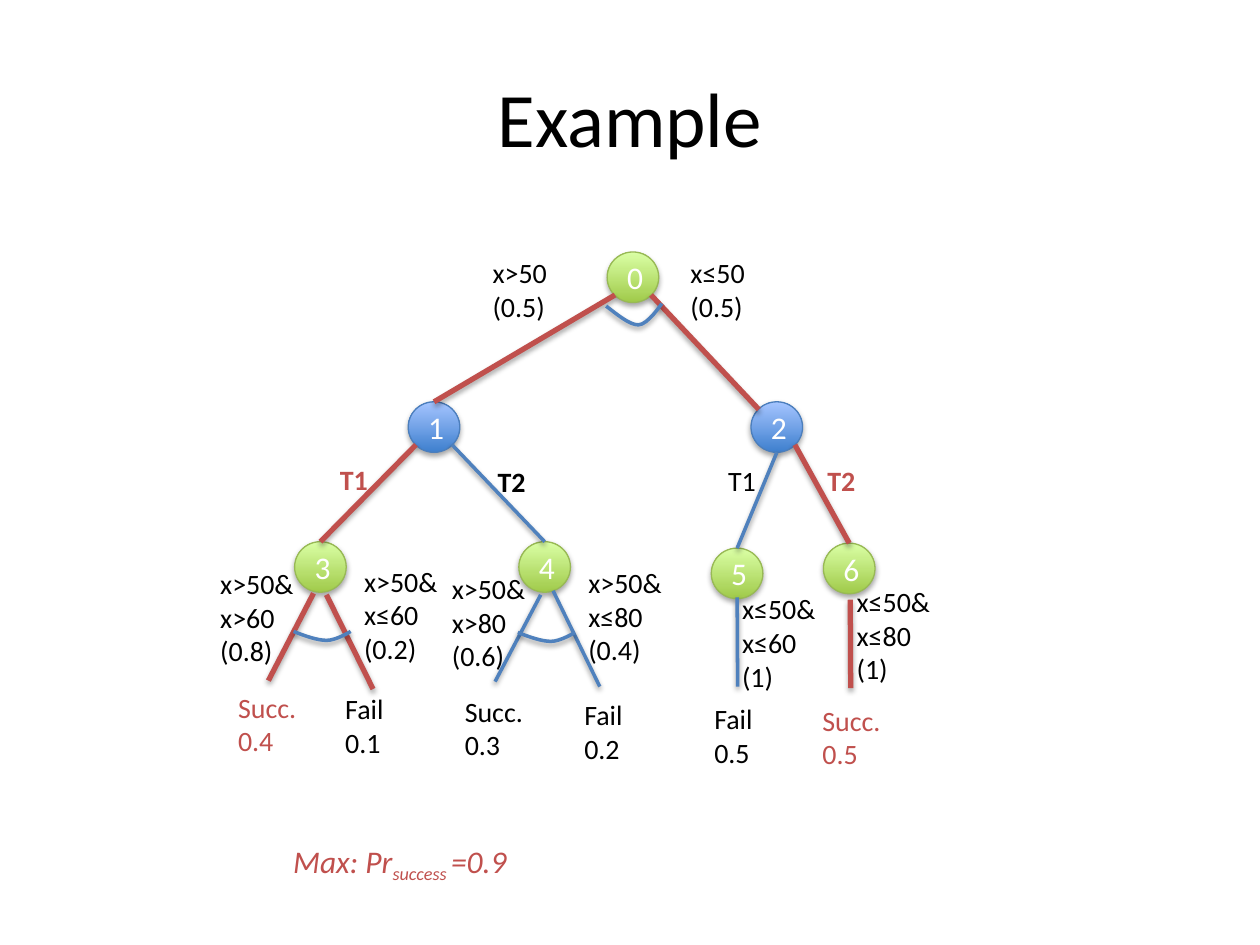
from lxml import etree
from pptx import Presentation
from pptx.dml.color import RGBColor
from pptx.enum.shapes import MSO_CONNECTOR, MSO_SHAPE
from pptx.enum.text import MSO_ANCHOR, MSO_AUTO_SIZE, PP_ALIGN
from pptx.oxml.ns import qn
from pptx.util import Cm, Pt

ELLIPSE, STRAIGHT = MSO_SHAPE.OVAL, MSO_CONNECTOR.STRAIGHT
MIDDLE, CENTER = MSO_ANCHOR.MIDDLE, PP_ALIGN.CENTER
GROW = MSO_AUTO_SIZE.SHAPE_TO_FIT_TEXT

BLACK = RGBColor(0x00, 0x00, 0x00)
WHITE = RGBColor(0xFF, 0xFF, 0xFF)
RED = RGBColor(0xC0, 0x50, 0x4D)
BLUE = RGBColor(0x4F, 0x81, 0xBD)
# Node colours: bottom, top, outline
GREEN_NODE = RGBColor(0xA0, 0xCA, 0x4A), RGBColor(0xDA, 0xFF, 0xA5), RGBColor(0x98, 0xB9, 0x55)
BLUE_NODE = RGBColor(0x3F, 0x80, 0xCE), RGBColor(0xA4, 0xC4, 0xFF), RGBColor(0x4B, 0x7E, 0xBC)

FONT = "Calibri"
NODE_WIDTH, NODE_HEIGHT = 1.04, 1.02
DIAGONAL = 0.35  # share of the node size from its centre to a diagonal point

# Node centres in cm, in order of their numbers
NODES = [
    (12.76, 5.59, GREEN_NODE), (8.75, 8.61, BLUE_NODE), (15.66, 8.61, BLUE_NODE),
    (6.46, 11.43, GREEN_NODE), (10.98, 11.43, GREEN_NODE),
    (14.86, 11.56, GREEN_NODE), (17.12, 11.46, GREEN_NODE),
]
# Parent, start offset, child, end offset (shares of the node size), colour
TOP, BOTTOM = (0, -0.5), (0, 0.5)
TOP_LEFT = (-DIAGONAL, -DIAGONAL)
BOTTOM_LEFT, BOTTOM_RIGHT = (-DIAGONAL, DIAGONAL), (DIAGONAL, DIAGONAL)
EDGES = [
    (0, BOTTOM_LEFT, 1, TOP, RED), (0, BOTTOM_RIGHT, 2, TOP_LEFT, RED),
    (1, BOTTOM_LEFT, 3, TOP, RED), (1, BOTTOM_RIGHT, 4, TOP, BLUE),
    (2, BOTTOM, 5, TOP, BLUE), (2, BOTTOM_RIGHT, 6, TOP, RED),
]
# Branches to the outcomes: start, end, colour
BRANCHES = [
    ((6.32, 11.96), (5.41, 13.72), RED), ((6.58, 11.99), (7.52, 13.89), RED),
    ((10.9, 11.99), (9.98, 13.74), BLUE), ((11.15, 11.91), (12.09, 13.84), BLUE),
    ((14.86, 12.04), (14.87, 13.84), BLUE), ((17.14, 12.09), (17.15, 13.87), RED),
]
# Chance arcs: left, top, width, height, share of the height where the arc starts
ARCS = [(12.22, 6.12, 1.12, 0.43, 0.12), (5.92, 12.73, 1.15, 0.18, 0),
        (10.44, 12.75, 1.15, 0.18, 0)]

# Labels by group: box width, then left, top, lines, colour, bold
LABELS = {
    1.7: [(4.55, 13.79, ["Succ.", "0.4"], RED, False),
          (9.12, 13.87, ["Succ.", "0.3"], BLACK, False),
          (16.33, 14.05, ["Succ.", "0.5"], RED, False)],
    1.32: [(6.71, 13.82, ["Fail", "0.1"], BLACK, False),
           (11.53, 13.94, ["Fail", "0.2"], BLACK, False),
           (14.15, 14.02, ["Fail", "0.5"], BLACK, False)],
    1.63: [(9.68, 5.03, ["x>50", "(0.5)"], BLACK, False),
           (13.67, 5.03, ["x≤50", "(0.5)"], BLACK, False)],
    2.01: [(4.19, 11.3, ["x>50&", "x>60", "(0.8)"], BLACK, False),
           (7.09, 11.25, ["x>50&", "x≤60", "(0.2)"], BLACK, False),
           (8.86, 11.4, ["x>50&", "x>80", "(0.6)"], BLACK, False),
           (11.61, 11.28, ["x>50&", "x≤80", "(0.4)"], BLACK, False),
           (14.71, 11.81, ["x≤50&", "x≤60", "(1)"], BLACK, False),
           (17.02, 11.66, ["x≤50&", "x≤80", "(1)"], BLACK, False)],
    1.09: [(6.6, 9.19, ["T1"], RED, True), (9.78, 9.25, ["T2"], BLACK, True),
           (14.43, 9.22, ["T1"], BLACK, False), (16.43, 9.22, ["T2"], RED, True)],
}


def add_shadow(shape, alpha=35, distance=1.8):
    """Give the shape a soft black shadow straight below it."""
    properties = shape._element.spPr
    for old in properties.findall(qn("a:effectLst")):
        properties.remove(old)
    effects = etree.SubElement(properties, qn("a:effectLst"))
    shadow = etree.SubElement(effects, qn("a:outerShdw"), blurRad=str(Pt(3.1)),
                              dist=str(Pt(distance)), dir="5400000", rotWithShape="0")
    color = etree.SubElement(shadow, qn("a:srgbClr"), val=str(BLACK))
    etree.SubElement(color, qn("a:alpha"), val=str(alpha * 1000))


def style_stroke(shape, color):
    shape.line.color.rgb = color
    shape.line.width = Pt(3 if color == RED else 2)
    if color == RED:
        add_shadow(shape)
    else:
        add_shadow(shape, 38, 1.6)


def set_font(para, size, color, bold=False):
    font = para.font
    font.name, font.size, font.bold = FONT, Pt(size), bold
    font.color.rgb = color


def add_node(slide, number, x, y, colors):
    bottom, top, outline = colors
    node = slide.shapes.add_shape(ELLIPSE, Cm(x - NODE_WIDTH / 2), Cm(y - NODE_HEIGHT / 2),
                                  Cm(NODE_WIDTH), Cm(NODE_HEIGHT))
    node.fill.gradient()
    node.fill.gradient_angle = 90
    for stop, color in zip(node.fill.gradient_stops, (bottom, top)):
        stop.color.rgb = color
    node.line.color.rgb = outline
    node.line.width = Pt(0.75)
    add_shadow(node)
    node.text_frame.vertical_anchor = MIDDLE
    para = node.text_frame.paragraphs[0]
    para.text = str(number)
    para.alignment = CENTER
    set_font(para, 18, WHITE)
    return node


def add_line(slide, start, end, color):
    line = slide.shapes.add_connector(STRAIGHT, *(Cm(value) for value in (*start, *end)))
    style_stroke(line, color)
    return line


def node_point(number, offset):
    x, y, _ = NODES[number]
    return x + offset[0] * NODE_WIDTH, y + offset[1] * NODE_HEIGHT


def add_arc(slide, left, top, width, height, start):
    """Draw one open Bezier stroke of two curves that sags between its ends."""
    shares = [(0, start), (0.2, 0.52), (0.42, 1), (0.58, 1), (0.75, 1), (1, 0), (1, 0)]
    points = [(Cm(left + x * width), Cm(top + y * height)) for x, y in shares]
    builder = slide.shapes.build_freeform(*points[0])
    builder.add_line_segments(points[1:], close=False)
    arc = builder.convert_to_shape()
    # Turn each three line points into the control points of a curve
    outline = arc._element.spPr.find(".//" + qn("a:path"))
    segments = outline.findall(qn("a:lnTo"))
    for first in (0, 3):
        curve = etree.SubElement(outline, qn("a:cubicBezTo"))
        for segment in segments[first:first + 3]:
            curve.append(segment[0])
            outline.remove(segment)
    arc.fill.background()
    style_stroke(arc, BLUE)


def add_box(slide, left, top, width, height):
    box = slide.shapes.add_textbox(Cm(left), Cm(top), Cm(width), Cm(height))
    box.text_frame.word_wrap = False
    box.text_frame.auto_size = GROW
    return box.text_frame


def add_label(slide, left, top, width, lines, color, bold):
    frame = add_box(slide, left, top, width, 0.25 + 0.69 * len(lines))
    frame.text = "\n".join(lines)
    for para in frame.paragraphs:
        set_font(para, 16, color, bold)


def add_title(slide, text):
    box = slide.shapes.add_textbox(Cm(1.27), Cm(0.76), Cm(22.86), Cm(3.18))
    box.text_frame.word_wrap = True
    box.text_frame.vertical_anchor = MIDDLE
    para = box.text_frame.paragraphs[0]
    para.text = text
    para.alignment = CENTER
    set_font(para, 44, BLACK)


def add_result(slide):
    para = add_box(slide, 5.66, 16.84, 5.18, 1.02).paragraphs[0]
    set_font(para, 18, RED)
    para.font.italic = True
    for text, baseline in (("Max: Pr", 0), ("success ", -25), ("=0.9", 0)):
        span = para.add_run()
        span.text = text
        if baseline:
            span._r.get_or_add_rPr().set("baseline", str(baseline * 1000))


def main():
    deck = Presentation()
    deck.slide_width, deck.slide_height = Cm(25.4), Cm(19.05)
    slide = deck.slides.add_slide(deck.slide_layouts[6])
    add_title(slide, "Example")

    # Decision tree
    nodes = [add_node(slide, number, *node) for number, node in enumerate(NODES)]
    for parent, start, child, end, color in EDGES:
        edge = add_line(slide, node_point(parent, start), node_point(child, end), color)
        if end == TOP:
            edge.end_connect(nodes[child], 0)
    for branch in BRANCHES:
        add_line(slide, *branch)
    for arc in ARCS:
        add_arc(slide, *arc)

    # Conditions, choices and outcomes
    for width, group in LABELS.items():
        for left, top, lines, color, bold in group:
            add_label(slide, left, top, width, lines, color, bold)
    add_result(slide)
    deck.save("out.pptx")


if __name__ == "__main__":
    main()
